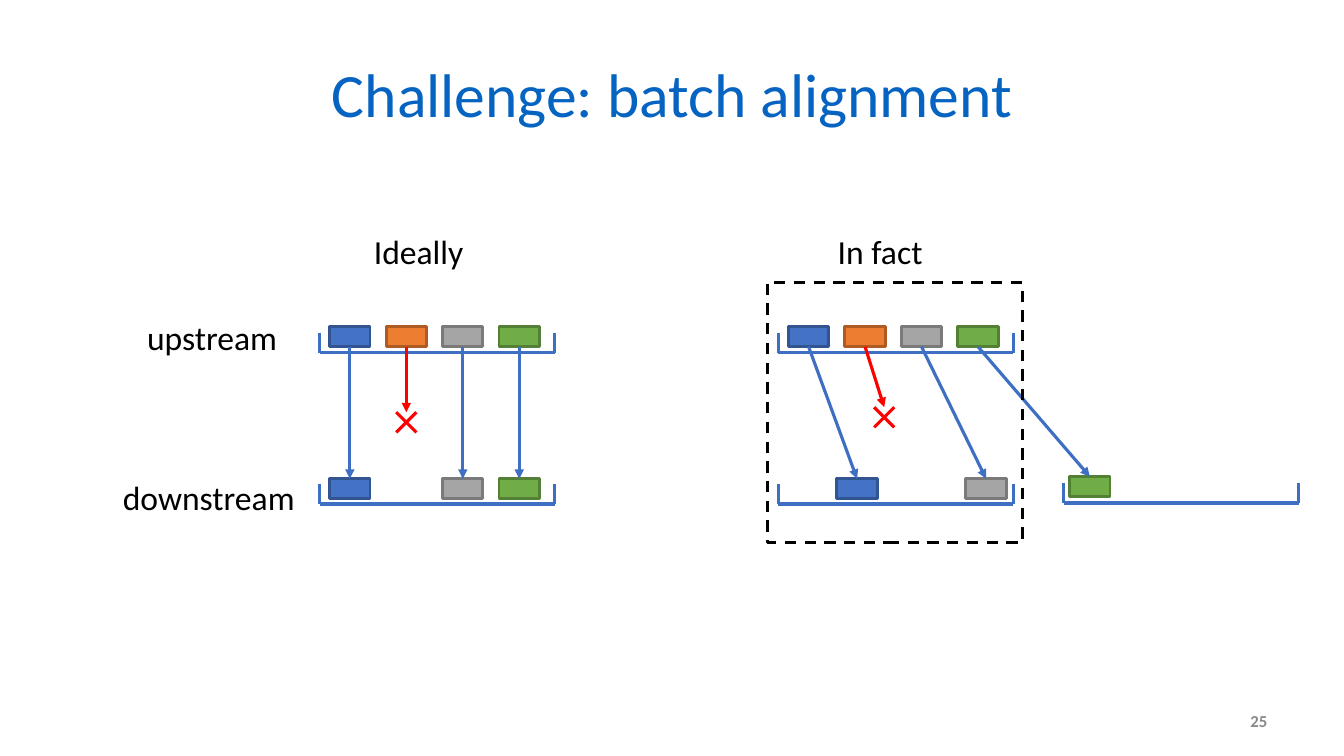
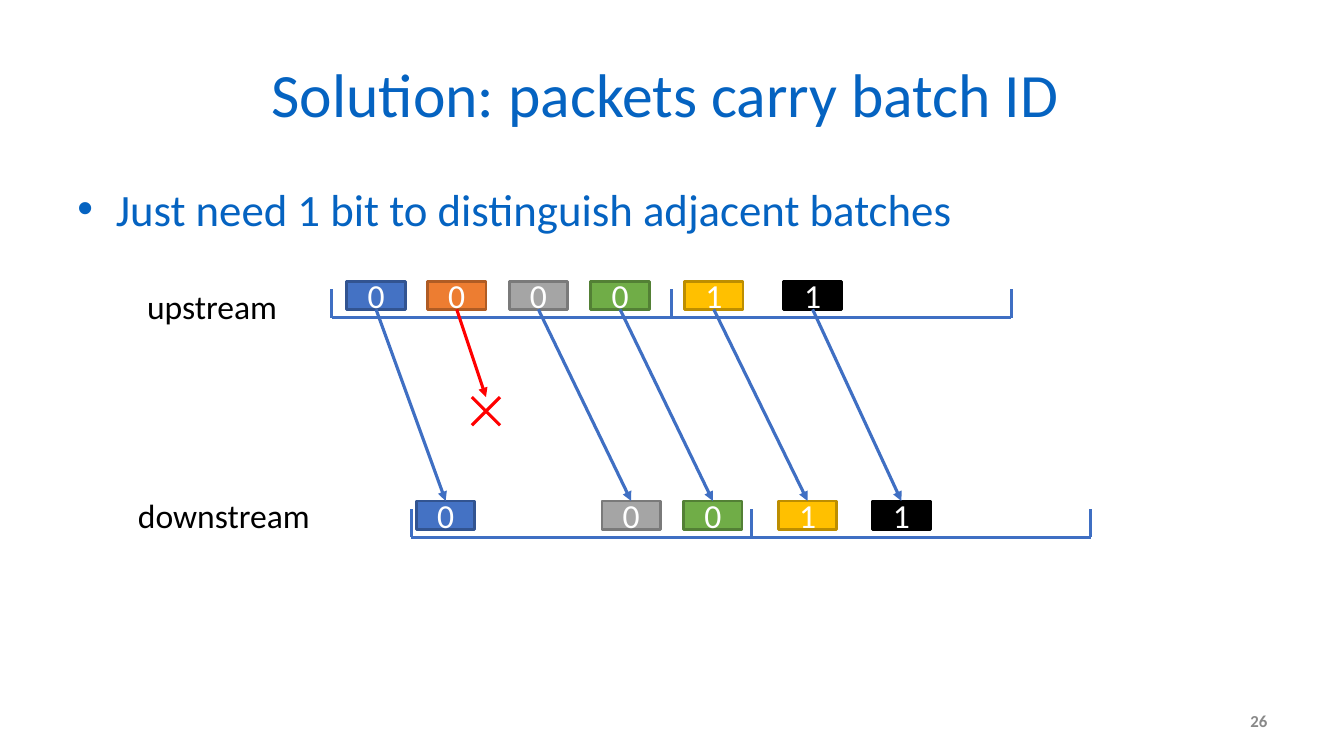
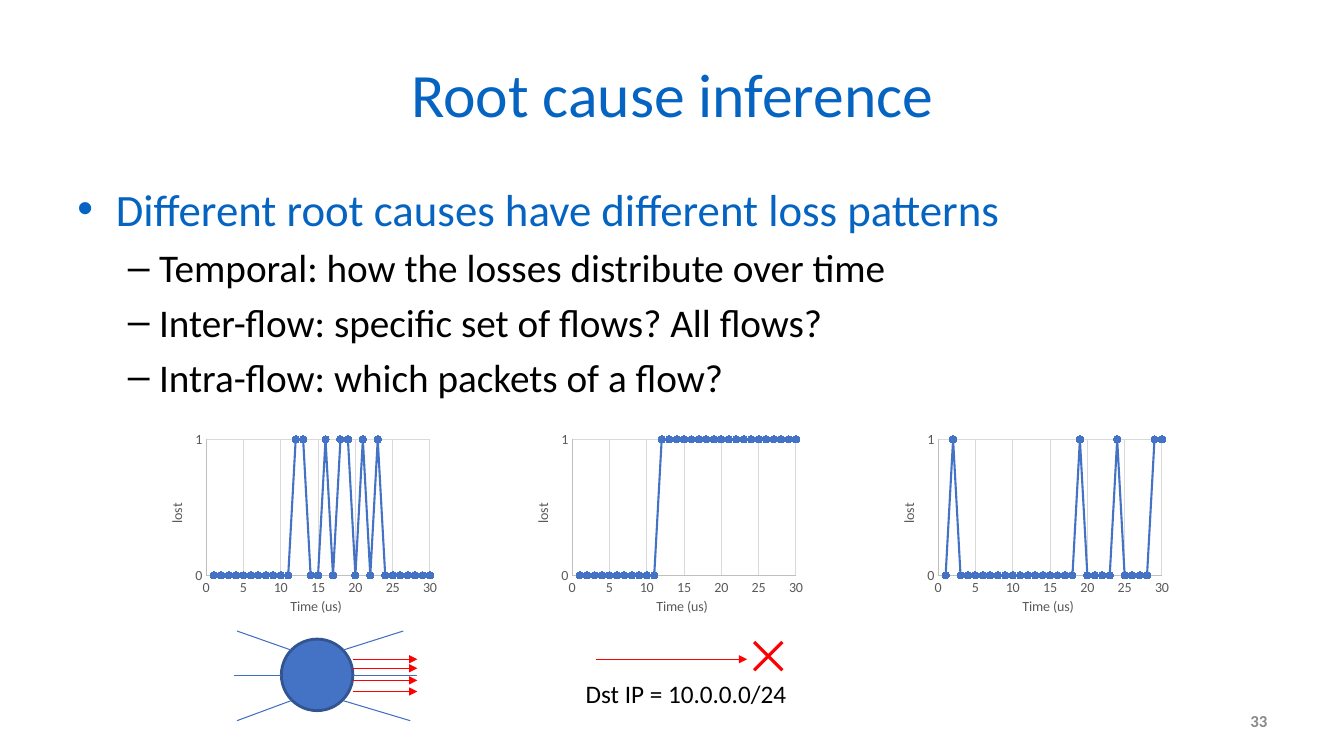
from dataclasses import dataclass
from typing import Iterable, NamedTuple, Optional

from lxml.etree import SubElement
from pptx import Presentation
from pptx.chart.data import XyChartData
from pptx.dml.color import RGBColor
from pptx.enum.chart import XL_CHART_TYPE, XL_MARKER_STYLE, XL_TICK_MARK
from pptx.enum.dml import MSO_LINE
from pptx.enum.shapes import MSO_CONNECTOR, MSO_SHAPE
from pptx.enum.text import MSO_ANCHOR, MSO_AUTO_SIZE, PP_ALIGN
from pptx.oxml import parse_xml
from pptx.oxml.ns import nsdecls, qn
from pptx.util import Inches, Pt

# Shared look
FONT = "Calibri"
HEAD, INK, WHITE, MUTE = "0563C1", "000000", "FFFFFF", "898989"
LINK, LOSS = "3F6FC3", "FF0000"
AXIS, GRID, LABEL = "BFBFBF", "D9D9D9", "595959"
BLUE, ORANGE, GREY = "4472C4", "ED7D31", "A5A5A5"
GREEN, GOLD, BLACK = "70AD47", "FFC000", "000000"
EDGE = {BLUE: "325491", ORANGE: "AF5C24", GREY: "7A7A7A",
        GREEN: "538035", GOLD: "BD8E00", BLACK: "000000"}


class Tray(NamedTuple):
    """Open bracket that holds one batch: left, top, width, height."""
    x: float
    y: float
    w: float
    h: float


@dataclass
class Flow:
    """A packet sent at centre x `start` that lands, or is lost, at `end`."""
    hue: str
    start: float
    end: tuple[float, float]
    lost: bool = False
    bit: str = ""


@dataclass
class Scale:
    """Packet size, upper row top and half the size of a loss cross."""
    w: float
    h: float
    top: float
    half: float


class Point(NamedTuple):
    """Bullet style of one outline level."""
    sign: str
    size: int
    hue: str
    left: float
    hang: float


POINTS = [Point("•", 32, HEAD, 0.38, 0.38), Point("–", 28, INK, 0.81, 0.31)]


# Basic parts
def paint(code: str) -> RGBColor:
    return RGBColor.from_string(code)


def style(font, size: float, hue: str, bold: bool = False) -> None:
    font.name, font.size, font.bold = FONT, Pt(size), bold
    font.color.rgb = paint(hue)


def write(frame, text: str, *, size: float = 24, hue: str = INK,
          bold: bool = False, align=PP_ALIGN.LEFT, anchor=MSO_ANCHOR.TOP,
          wrap: bool = True, fit=MSO_AUTO_SIZE.NONE,
          level: Optional[int] = None) -> None:
    """Add a paragraph; a level makes it a bullet point."""
    frame.word_wrap, frame.auto_size = wrap, fit
    frame.vertical_anchor = anchor
    first = not frame.text
    para = frame.paragraphs[0] if first else frame.add_paragraph()
    para.alignment = align
    if level is not None:
        point = POINTS[level]
        size, hue, para.level = point.size, point.hue, level
        props = para._p.get_or_add_pPr()
        props.set("marL", str(Inches(point.left)))
        props.set("indent", str(-Inches(point.hang)))
        SubElement(props, qn("a:buFont")).set("typeface", "Arial")
        SubElement(props, qn("a:buChar")).set("char", point.sign)
        para.space_before = Pt(0 if first else size / 5)
    run = para.add_run()
    run.text = text
    style(run.font, size, hue, bold)


def box(slide, x: float, y: float, w: float, h: float):
    area = (Inches(n) for n in (x, y, w, h))
    return slide.shapes.add_textbox(*area).text_frame


def label(slide, text: str, x: float, y: float, w: float, h: float = 0.5,
          size: float = 24) -> None:
    write(box(slide, x, y, w, h), text, size=size, wrap=False,
          fit=MSO_AUTO_SIZE.SHAPE_TO_FIT_TEXT)


def shape(slide, kind, x: float, y: float, w: float, h: float,
          fill: Optional[str] = None):
    item = slide.shapes.add_shape(kind, *(Inches(n) for n in (x, y, w, h)))
    item.shadow.inherit = False
    item.line.width = Pt(2)
    item.line.color.rgb = paint(EDGE[fill] if fill else INK)
    if fill:
        item.fill.solid()
        item.fill.fore_color.rgb = paint(fill)
    else:
        item.fill.background()
    return item


def line(slide, x1: float, y1: float, x2: float, y2: float,
         hue: str = LINK, width: float = 2.25, arrow: bool = False) -> None:
    ends = (Inches(n) for n in (x1, y1, x2, y2))
    item = slide.shapes.add_connector(MSO_CONNECTOR.STRAIGHT, *ends)
    item.line.color.rgb, item.line.width = paint(hue), Pt(width)
    if arrow:
        SubElement(item.get_or_add_ln(), qn("a:tailEnd")).set("type", "triangle")
    SubElement(item._element.spPr, qn("a:effectLst"))


def cross(slide, x: float, y: float, half: float) -> None:
    for rise in (half, -half):
        line(slide, x - half, y + rise, x + half, y - rise, LOSS)


# Packet diagrams
def batch(slide, tray: Tray) -> None:
    right, base = tray.x + tray.w, tray.y + tray.h
    line(slide, tray.x, base, right, base)
    for x in (tray.x, right):
        line(slide, x, tray.y, x, base)


def pack(slide, flow: Flow, scale: Scale, x: float, y: float) -> None:
    item = shape(slide, MSO_SHAPE.RECTANGLE, x - scale.w / 2, y,
                 scale.w, scale.h, flow.hue)
    if flow.bit:
        write(item.text_frame, flow.bit, hue=WHITE, align=PP_ALIGN.CENTER,
              anchor=MSO_ANCHOR.MIDDLE)


def trace(slide, trays: Iterable[Tray], flows: list[Flow], scale: Scale) -> None:
    for tray in trays:
        batch(slide, tray)
    for flow in flows:
        pack(slide, flow, scale, flow.start, scale.top)
        if not flow.lost:
            pack(slide, flow, scale, *flow.end)
    for flow in flows:
        x, y = flow.end
        tip = y - scale.half if flow.lost else y
        line(slide, flow.start, scale.top + scale.h, x, tip,
             LOSS if flow.lost else LINK, arrow=True)
        if flow.lost:
            cross(slide, x, y, scale.half)


# Loss charts
def plot(slide, x: float, losses: Iterable[int]) -> None:
    hits = set(losses)
    data = XyChartData()
    dots = data.add_series("Series 1")
    for time in range(1, 31):
        dots.add_data_point(time, int(time in hits))
    area = (Inches(n) for n in (x, 4.18, 2.93, 1.96))
    chart = slide.shapes.add_chart(XL_CHART_TYPE.XY_SCATTER_LINES, *area,
                                   data).chart
    chart.has_legend = chart.has_title = False
    style(chart.font, 10, INK)

    for axis, name, top, step in ((chart.category_axis, "Time (us)", 30, 5),
                                  (chart.value_axis, "lost", 1, 1)):
        axis.minimum_scale, axis.maximum_scale, axis.major_unit = 0, top, step
        axis.major_tick_mark = axis.minor_tick_mark = XL_TICK_MARK.NONE
        axis.has_major_gridlines = True
        for form, hue in ((axis.format, AXIS), (axis.major_gridlines.format, GRID)):
            form.line.color.rgb, form.line.width = paint(hue), Pt(0.75)
        style(axis.tick_labels.font, 10, LABEL)
        axis.tick_labels.number_format = "0"
        axis.tick_labels.number_format_is_linked = False
        write(axis.axis_title.text_frame, name, size=10, hue=LABEL,
              align=PP_ALIGN.CENTER)
    # Turn the upright axis title
    props = chart.value_axis.axis_title.text_frame._txBody.bodyPr
    props.set("rot", "-5400000")
    props.set("vert", "horz")

    group = chart.plots[0]
    group.vary_by_categories = False
    row = group.series[0]
    row.smooth = False
    row.format.line.color.rgb, row.format.line.width = paint(BLUE), Pt(1.5)
    row.marker.style, row.marker.size = XL_MARKER_STYLE.CIRCLE, 5
    row.marker.format.fill.solid()
    row.marker.format.fill.fore_color.rgb = paint(BLUE)
    row.marker.format.line.color.rgb = paint(BLUE)

    # Fixed inner plot area
    field = chart._chartSpace.chart.plotArea
    for old in field.findall(qn("c:layout")):
        field.remove(old)
    parts = [("layoutTarget", "inner"), ("xMode", "edge"), ("yMode", "edge"),
             ("x", 0.145), ("y", 0.092), ("w", 0.758), ("h", 0.689)]
    body = "".join(f'<c:{tag} val="{val}"/>' for tag, val in parts)
    field.insert(0, parse_xml(f"<c:layout {nsdecls('c')}><c:manualLayout>{body}"
                              "</c:manualLayout></c:layout>"))


# Slides
def start(deck, title: str, page: int, points: Iterable[tuple[int, str]] = ()):
    slide = deck.slides.add_slide(deck.slide_layouts[5])
    head = slide.shapes.title
    head.left, head.top = Inches(0.67), Inches(0.3)
    head.width, head.height = Inches(12), Inches(1.25)
    write(head.text_frame, title, size=44, hue=HEAD, align=PP_ALIGN.CENTER,
          anchor=MSO_ANCHOR.MIDDLE)
    if points:
        frame = box(slide, 0.67, 1.75, 12, 4.95)
        for level, text in points:
            write(frame, text, level=level)
    write(box(slide, 9.56, 6.95, 3.11, 0.4), str(page), size=12, hue=MUTE,
          bold=True, align=PP_ALIGN.RIGHT, anchor=MSO_ANCHOR.MIDDLE)
    return slide


def align(deck) -> None:
    slide = start(deck, "Challenge: batch alignment", 25)
    scale = Scale(0.4, 0.2, 3.24, 0.1)
    hues = (BLUE, ORANGE, GREY, GREEN)
    ideal = [(3.47, 4.75), (4.03, 4.19), (4.59, 4.75), (5.15, 4.75)]
    fact = [(8.5, 4.75), (8.77, 4.14), (9.78, 4.75), (10.81, 4.73)]
    late = [Tray(10.55, 4.79, 2.33, 0.2)]
    for left, ends, extra in ((3.17, ideal, []), (7.72, fact, late)):
        trays = [Tray(left, y, 2.33, 0.2) for y in (3.3, 4.8)] + extra
        flows = [Flow(hue, left + 0.3 + 0.56 * i, end, hue == ORANGE)
                 for i, (hue, end) in enumerate(zip(hues, ends))]
        trace(slide, trays, flows, scale)
    frame = shape(slide, MSO_SHAPE.RECTANGLE, 7.61, 2.8, 2.53, 2.58)
    frame.line.dash_style = MSO_LINE.DASH
    label(slide, "Ideally", 3.61, 2.24, 1.1)
    label(slide, "In fact", 8.21, 2.24, 1.05)
    label(slide, "upstream", 1.36, 3.09, 1.51)
    label(slide, "downstream", 1.12, 4.68, 1.92)


def carry(deck) -> None:
    slide = start(deck, "Solution: packets carry batch ID ", 26,
                  [(0, "Just need 1 bit to distinguish adjacent batches")])
    trays = [Tray(left + 3.37 * i, y, 3.37, 0.28)
             for left, y in ((3.29, 2.87), (4.08, 5.05)) for i in range(2)]
    low = 4.97
    flows = [Flow(BLUE, 3.73, (4.42, low), bit="0"),
             Flow(ORANGE, 4.53, (4.82, 4.08), lost=True, bit="0"),
             Flow(GREY, 5.34, (6.26, low), bit="0"),
             Flow(GREEN, 6.15, (7.07, low), bit="0"),
             Flow(GOLD, 7.08, (8.01, low), bit="1"),
             Flow(BLACK, 8.06, (8.94, low), bit="1")]
    trace(slide, trays, flows, Scale(0.58, 0.28, 2.79, 0.14))
    label(slide, "upstream", 1.36, 2.79, 1.51)
    label(slide, "downstream", 1.27, 4.86, 1.92)


def infer(deck) -> None:
    slide = start(deck, "Root cause inference", 33, [
        (0, "Different root causes have different loss patterns"),
        (1, "Temporal: how the losses distribute over time"),
        (1, "Inter-flow: specific set of flows? All flows?"),
        (1, "Intra-flow: which packets of a flow?")])
    cases = [(12, 13, 16, 18, 19, 21, 23), range(12, 31), (2, 19, 24, 29, 30)]
    for i, losses in enumerate(cases):
        plot(slide, 1.62 + 3.63 * i, losses)

    # Switch with its links and lossy port
    shape(slide, MSO_SHAPE.OVAL, 2.79, 6.34, 0.71, 0.71, BLUE)
    for ends in ((2.35, 6.26, 2.89, 6.45), (2.32, 6.7, 2.79, 6.7),
                 (2.35, 7.15, 2.89, 6.95), (3.4, 6.45, 4, 6.26),
                 (3.5, 6.7, 4.14, 6.7), (3.4, 6.95, 4.07, 7.15)):
        line(slide, *ends, width=0.75)
    for y in (6.54, 6.63, 6.75, 6.86):
        line(slide, 3.5, y, 4.14, y, LOSS, 0.75, arrow=True)

    # Blocked prefix
    line(slide, 5.91, 6.54, 7.41, 6.54, LOSS, 0.75, arrow=True)
    cross(slide, 7.62, 6.51, 0.14)
    label(slide, "Dst IP = 10.0.0.0/24", 5.71, 6.68, 2.21, 0.4, 18)


def main() -> None:
    deck = Presentation()
    deck.slide_width, deck.slide_height = Inches(13.33), Inches(7.5)
    for build in (align, carry, infer):
        build(deck)
    deck.save("out.pptx")


if __name__ == "__main__":
    main()
